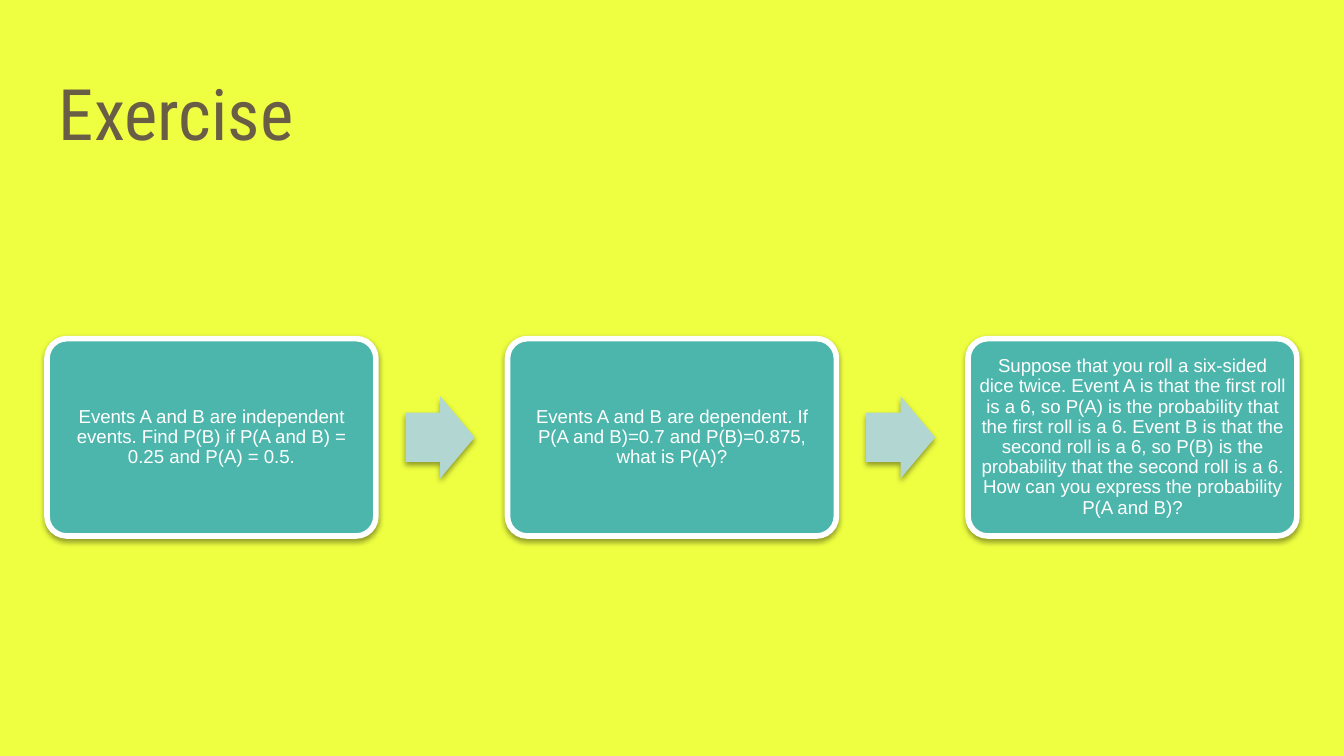
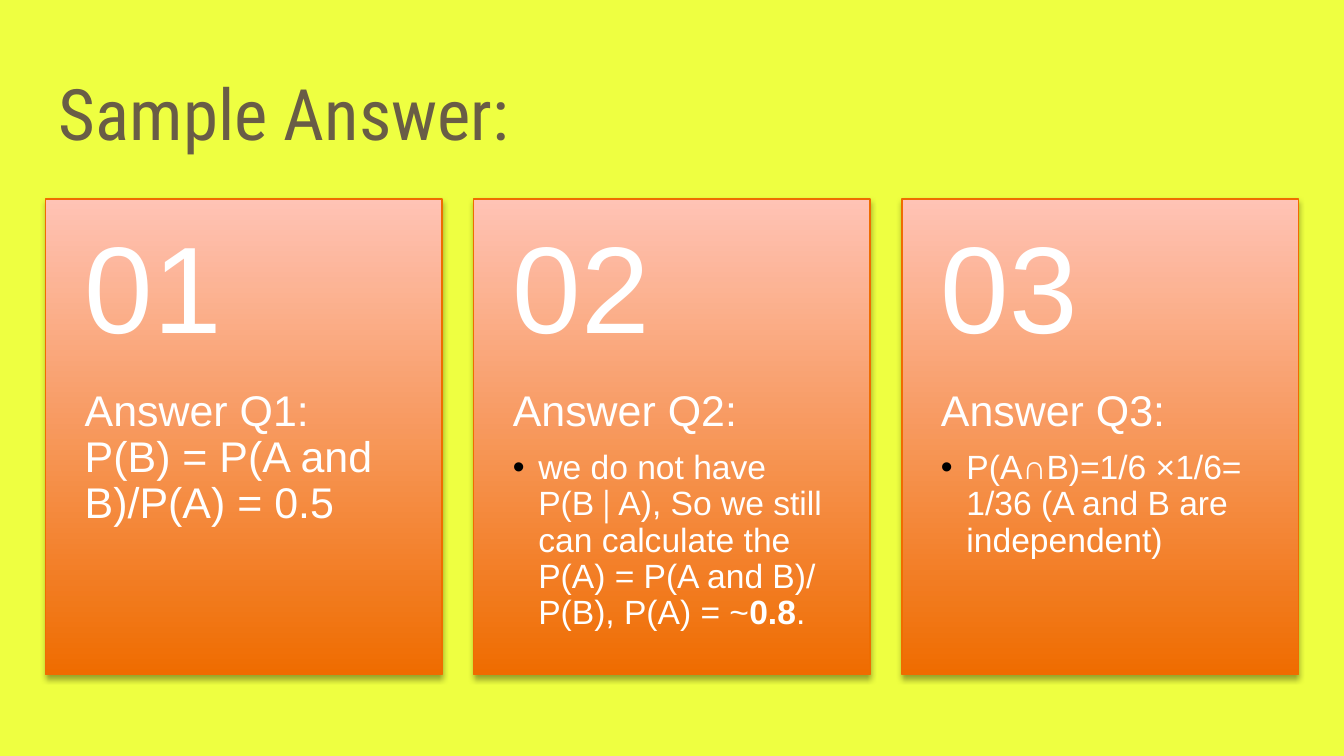
"""Build the probability exercise slide and its sample answers."""
from dataclasses import dataclass

from lxml.etree import SubElement
from pptx import Presentation
from pptx.dml.color import RGBColor as Rgb
from pptx.enum.shapes import MSO_SHAPE as Preset
from pptx.enum.text import MSO_ANCHOR as Anchor, PP_ALIGN as Align
from pptx.oxml.ns import qn
from pptx.util import Inches, Pt


@dataclass(frozen=True)
class Theme:
    page: str = "EEFF41"
    title: str = "695D46"
    question: str = "4DB6AC"
    arrow: str = "B2D7D2"
    answer_low: str = "EF6C00"
    answer_high: str = "FFC3B5"
    light: str = "FFFFFF"
    dark: str = "000000"
    title_font: str = "Roboto Condensed"
    body_font: str = "Arial"
    title_size: int = 38
    question_size: int = 10
    number_size: int = 66
    answer_size: int = 23
    detail_size: int = 18


THEME = Theme()
WIDTH = 10
HEIGHT = WIDTH * 9 / 16
EXERCISE = "Exercise"
QUESTIONS = [
    "Events A and B are independent events. Find P(B) if P(A and B) = 0.25 and P(A) = 0.5.",
    "Events A and B are dependent. If P(A and B)=0.7 and P(B)=0.875, what is P(A)?",
    "Suppose that you roll a six-sided dice twice. Event A is that the first roll is a 6, "
    "so P(A) is the probability that the first roll is a 6. Event B is that the second roll "
    "is a 6, so P(B) is the probability that the second roll is a 6. How can you express "
    "the probability P(A and B)?",
]
SOLUTION = "Sample Answer:"
ANSWERS = [
    ("01", "Answer Q1: P(B) = P(A and B)/P(A) = 0.5", []),
    ("02", "Answer Q2:", [
        ("we do not have P(B∣A), So we still can calculate the "
         "P(A) = P(A and B)/ P(B), P(A) = ~", False),
        ("0.8", True),
        (".", False),
    ]),
    ("03", "Answer Q3:", [("P(A∩B)=1/6 ×1/6= 1/36 (A and B are independent)", False)]),
]


def columns(count, margin, gap_share):
    """Return the column width and left edges, the gap being a share of the width."""
    width = (WIDTH - 2 * margin) / (count + (count - 1) * gap_share)
    return width, [margin + i * width * (1 + gap_share) for i in range(count)]


def inches(*lengths):
    """Convert lengths in inches to slide units."""
    return [Inches(length) for length in lengths]


def prepare(frame, insets, anchor):
    """Set wrapping, insets and anchor of a text frame."""
    frame.word_wrap = True
    frame.vertical_anchor = anchor
    frame.margin_left, frame.margin_top, frame.margin_right, frame.margin_bottom = inches(*insets)
    return frame


def style(paragraph, size, color=THEME.light, font=THEME.body_font, after=35):
    """Format the runs of a paragraph and its spacing."""
    paragraph.line_spacing = 0.9
    paragraph.space_after = Pt(0)
    if after:
        spacing = paragraph._p.pPr.find(qn("a:spcAft"))
        spacing.clear()
        SubElement(spacing, qn("a:spcPct"), val=str(after * 1000))
    for run in paragraph.runs:
        run.font.size, run.font.name = Pt(size), font
        run.font.color.rgb = Rgb.from_string(color)


def add_bullet(paragraph):
    """Give a paragraph a hanging dark bullet."""
    props = paragraph._p.get_or_add_pPr()
    props.set("marL", str(Inches(0.19)))
    props.set("indent", str(Inches(-0.19)))
    tint = SubElement(props, qn("a:buClr"))
    SubElement(tint, qn("a:srgbClr"), val=THEME.dark)
    SubElement(props, qn("a:buFont"), typeface=THEME.body_font)
    SubElement(props, qn("a:buChar"), char="•")


def add_text(slide, box, words, size, insets, anchor=Anchor.TOP, **look):
    """Add a text box holding one paragraph."""
    frame = prepare(slide.shapes.add_textbox(*inches(*box)).text_frame, insets, anchor)
    frame.text = words
    style(frame.paragraphs[0], size, **look)
    return frame


def add_panel(slide, preset, box, color, alpha, distance):
    """Add a filled shape without outline and with a soft shadow below."""
    panel = slide.shapes.add_shape(preset, *inches(*box))
    panel.fill.solid()
    panel.fill.fore_color.rgb = Rgb.from_string(color)
    panel.line.fill.background()
    panel.shadow.inherit = False
    effects = panel._element.spPr.find(qn("a:effectLst"))
    shadow = SubElement(effects, qn("a:outerShdw"), blurRad=str(Pt(3.1)),
                        dist=str(Pt(distance)), dir="5400000", rotWithShape="0")
    tint = SubElement(shadow, qn("a:srgbClr"), val=THEME.dark)
    SubElement(tint, qn("a:alpha"), val=str(alpha * 1000))
    return panel


def outline(panel, color, weight):
    """Draw the border of a panel."""
    panel.line.color.rgb = Rgb.from_string(color)
    panel.line.width = Pt(weight)


def add_page(deck, title):
    """Add a slide with the shared background and title."""
    slide = deck.slides.add_slide(deck.slide_layouts[6])
    slide.background.fill.solid()
    slide.background.fill.fore_color.rgb = Rgb.from_string(THEME.page)
    add_text(slide, (0.34, 0.49, WIDTH - 0.68, 0.77), title, THEME.title_size, [0.1] * 4,
             Anchor.MIDDLE, color=THEME.title, font=THEME.title_font, after=0)
    return slide


def build_exercise(deck):
    """Lay out the questions as a row of cards joined by arrows."""
    slide = add_page(deck, EXERCISE)
    width, lefts = columns(len(QUESTIONS), 0.35, 0.4)
    top, height = 2.52, width * 0.6
    arrow_width, arrow_height = width * 0.21, width * 0.25
    arrow_top = top + (height - arrow_height) / 2
    for i, (left, question) in enumerate(zip(lefts, QUESTIONS)):
        if i:
            arrow_left = lefts[i - 1] + width * 1.09
            arrow = add_panel(slide, Preset.RIGHT_ARROW,
                              (arrow_left, arrow_top, arrow_width, arrow_height),
                              THEME.arrow, 38, 1.6)
            arrow.adjustments[0] = 0.6
        card = add_panel(slide, Preset.ROUNDED_RECTANGLE, (left, top, width, height),
                         THEME.question, 38, 1.6)
        card.adjustments[0] = 0.1
        outline(card, THEME.light, 3)
        frame = prepare(card.text_frame, [0.04] * 4, Anchor.MIDDLE)
        frame.text = question
        frame.paragraphs[0].alignment = Align.CENTER
        style(frame.paragraphs[0], THEME.question_size)


def build_solution(deck):
    """Lay out the answers as numbered gradient cards."""
    slide = add_page(deck, SOLUTION)
    width, lefts = columns(len(ANSWERS), 0.34, 0.08)
    top, height = 1.48, width * 1.2
    number_height = height * 0.4
    for left, (number, answer, detail) in zip(lefts, ANSWERS):
        card = add_panel(slide, Preset.RECTANGLE, (left, top, width, height),
                         THEME.answer_low, 35, 1.8)
        card.fill.gradient()
        card.fill.gradient_angle = 90
        for stop, color in zip(card.fill.gradient_stops, (THEME.answer_low, THEME.answer_high)):
            stop.color.rgb = Rgb.from_string(color)
        outline(card, THEME.answer_low, 0.75)
        frame = add_text(slide, (left, top + number_height, width, height - number_height),
                         answer, THEME.answer_size, (0.29, 0, 0.29, 0.36))
        if detail:
            paragraph = frame.add_paragraph()
            paragraph.level = 1
            for words, bold in detail:
                run = paragraph.add_run()
                run.text, run.font.bold = words, bold
            style(paragraph, THEME.detail_size, after=15)
            add_bullet(paragraph)
        add_text(slide, (left, top, width, number_height), number, THEME.number_size,
                 (0.29, 0.18, 0.29, 0.18), Anchor.MIDDLE)


def main():
    """Build and save the deck."""
    deck = Presentation()
    deck.slide_width, deck.slide_height = inches(WIDTH, HEIGHT)
    build_exercise(deck)
    build_solution(deck)
    deck.save("out.pptx")


if __name__ == "__main__":
    main()
